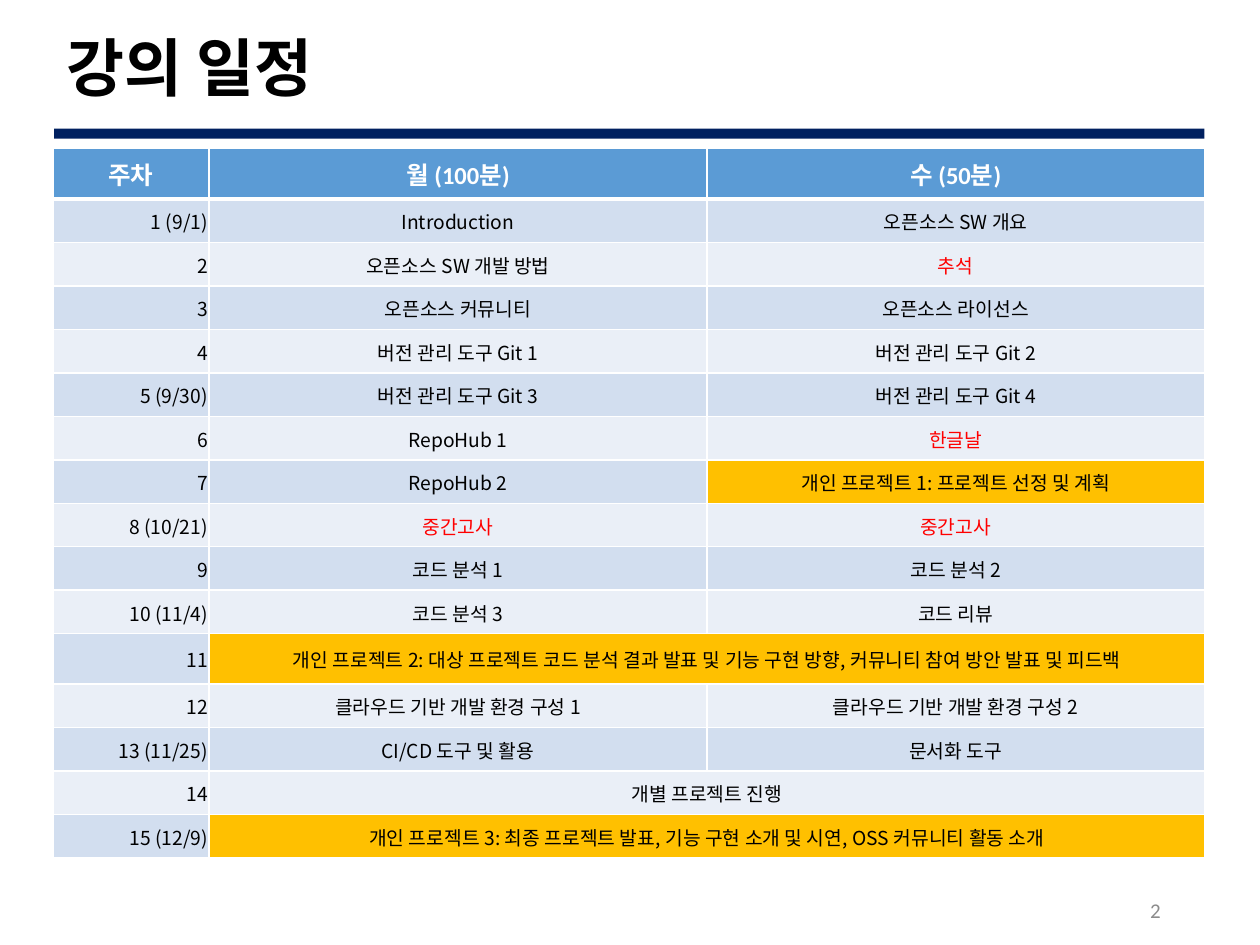
from lxml import etree
from pptx import Presentation
from pptx.dml.color import RGBColor
from pptx.enum.shapes import MSO_SHAPE
from pptx.enum.text import MSO_ANCHOR, PP_ALIGN
from pptx.oxml.ns import qn
from pptx.util import Inches, Pt

RECTANGLE = MSO_SHAPE.RECTANGLE
MIDDLE = MSO_ANCHOR.MIDDLE
LEFT, CENTER, RIGHT = PP_ALIGN.LEFT, PP_ALIGN.CENTER, PP_ALIGN.RIGHT

COLORS = {
    "navy": "002060", "header": "5B9BD5", "band_dark": "D2DEEF",
    "band_light": "EAEFF7", "project": "FFC000", "holiday": "FF0000",
    "black": "000000", "white": "FFFFFF", "gray": "8C8C8C",
}
LATIN_FONT = "Calibri"
KOREAN_FONT = "Noto Sans CJK KR"


def write_text(text_frame, text, size, color, align, font=LATIN_FONT, bold=False):
    text_frame.word_wrap = True
    paragraph = text_frame.paragraphs[0]
    paragraph.alignment = align
    run = paragraph.add_run()
    run.text = text
    run.font.size = Pt(size)
    run.font.bold = bold
    run.font.name = font
    run.font.color.rgb = RGBColor.from_string(COLORS[color])
    east_asian = etree.SubElement(run.font._element, qn("a:ea"))
    east_asian.set("typeface", KOREAN_FONT)
    return paragraph


def add_border(cell, side, points):
    properties = cell._tc.get_or_add_tcPr()
    line = etree.SubElement(properties, qn(f"a:ln{side}"), w=str(Pt(points)))
    fill = etree.SubElement(line, qn("a:solidFill"))
    etree.SubElement(fill, qn("a:srgbClr"), val=COLORS["white"])


presentation = Presentation()
presentation.slide_width = Inches(10)
presentation.slide_height = Inches(7.5)
slide = presentation.slides.add_slide(presentation.slide_layouts[6])

# Title and the bar below it
bar = slide.shapes.add_shape(
    RECTANGLE, Inches(0.43), Inches(1.02), Inches(9.13), Inches(0.08))
bar.shadow.inherit = False
bar.fill.solid()
bar.fill.fore_color.rgb = RGBColor.from_string(COLORS["navy"])
bar.line.fill.background()

title = slide.shapes.add_textbox(
    Inches(0.43), Inches(0.18), Inches(9.13), Inches(0.77))
title.text_frame.vertical_anchor = MIDDLE
title_paragraph = write_text(
    title.text_frame, "강의 일정", 36, "black", LEFT, bold=True)
title_paragraph.line_spacing = 0.9

# Schedule: week, Monday, Wednesday; None joins the two days
schedule = [
    ("주차", "월 (100분)", "수 (50분)"),
    ("1 (9/1)", "Introduction", "오픈소스 SW 개요"),
    ("2", "오픈소스 SW 개발 방법", "추석"),
    ("3", "오픈소스 커뮤니티", "오픈소스 라이선스"),
    ("4", "버전 관리 도구 Git 1", "버전 관리 도구 Git 2"),
    ("5 (9/30)", "버전 관리 도구 Git 3", "버전 관리 도구 Git 4"),
    ("6", "RepoHub 1", "한글날"),
    ("7", "RepoHub 2", "개인 프로젝트 1: 프로젝트 선정 및 계획"),
    ("8 (10/21)", "중간고사", "중간고사"),
    ("9", "코드 분석 1", "코드 분석 2"),
    ("10 (11/4)", "코드 분석 3", "코드 리뷰"),
    ("11", "개인 프로젝트 2: 대상 프로젝트 코드 분석 결과 발표 및 기능 구현 방향, "
           "커뮤니티 참여 방안 발표 및 피드백", None),
    ("12", "클라우드 기반 개발 환경 구성 1", "클라우드 기반 개발 환경 구성 2"),
    ("13 (11/25)", "CI/CD 도구 및 활용", "문서화 도구"),
    ("14", "개별 프로젝트 진행", None),
    ("15 (12/9)", "개인 프로젝트 3: 최종 프로젝트 발표, 기능 구현 소개 및 시연, "
                  "OSS 커뮤니티 활동 소개", None),
]
days_off = {"추석", "한글날", "중간고사"}
tall_rows = {0, 11}

table = slide.shapes.add_table(
    len(schedule), 3, Inches(0.42), Inches(1.18), Inches(9.14), Inches(5.64)).table
for column, width in zip(table.columns, (1.24, 3.95, 3.95)):
    column.width = Inches(width)

for row_index, row in enumerate(schedule):
    is_header = row_index == 0
    table.rows[row_index].height = Inches(0.4 if row_index in tall_rows else 0.345)
    if row[2] is None:
        table.cell(row_index, 1).merge(table.cell(row_index, 2))

    for column_index, text in enumerate(row):
        cell = table.cell(row_index, column_index)
        cell.vertical_anchor = MIDDLE

        # White grid, heavier under the header
        for side in "LRTB":
            under_header = (row_index, side) in ((0, "B"), (1, "T"))
            add_border(cell, side, 3 if under_header else 1)

        # Fill: header, project milestone or banding
        if is_header:
            fill = "header"
        elif text and text.startswith("개인 프로젝트"):
            fill = "project"
        else:
            fill = "band_dark" if row_index % 2 else "band_light"
        cell.fill.solid()
        cell.fill.fore_color.rgb = RGBColor.from_string(COLORS[fill])

        # Text
        if is_header:
            write_text(cell.text_frame, text, 14, "white", CENTER, bold=True)
            continue
        cell.margin_left = cell.margin_right = cell.margin_top = Inches(0.01)
        cell.margin_bottom = Inches(0)
        if text:
            write_text(cell.text_frame, text, 11,
                       "holiday" if text in days_off else "black",
                       CENTER if column_index else RIGHT, font=KOREAN_FONT)

# Slide number
number = slide.shapes.add_textbox(
    Inches(7.06), Inches(7.05), Inches(2.25), Inches(0.35))
number.text_frame.vertical_anchor = MIDDLE
write_text(number.text_frame, "2", 12, "gray", RIGHT)

presentation.save("out.pptx")
